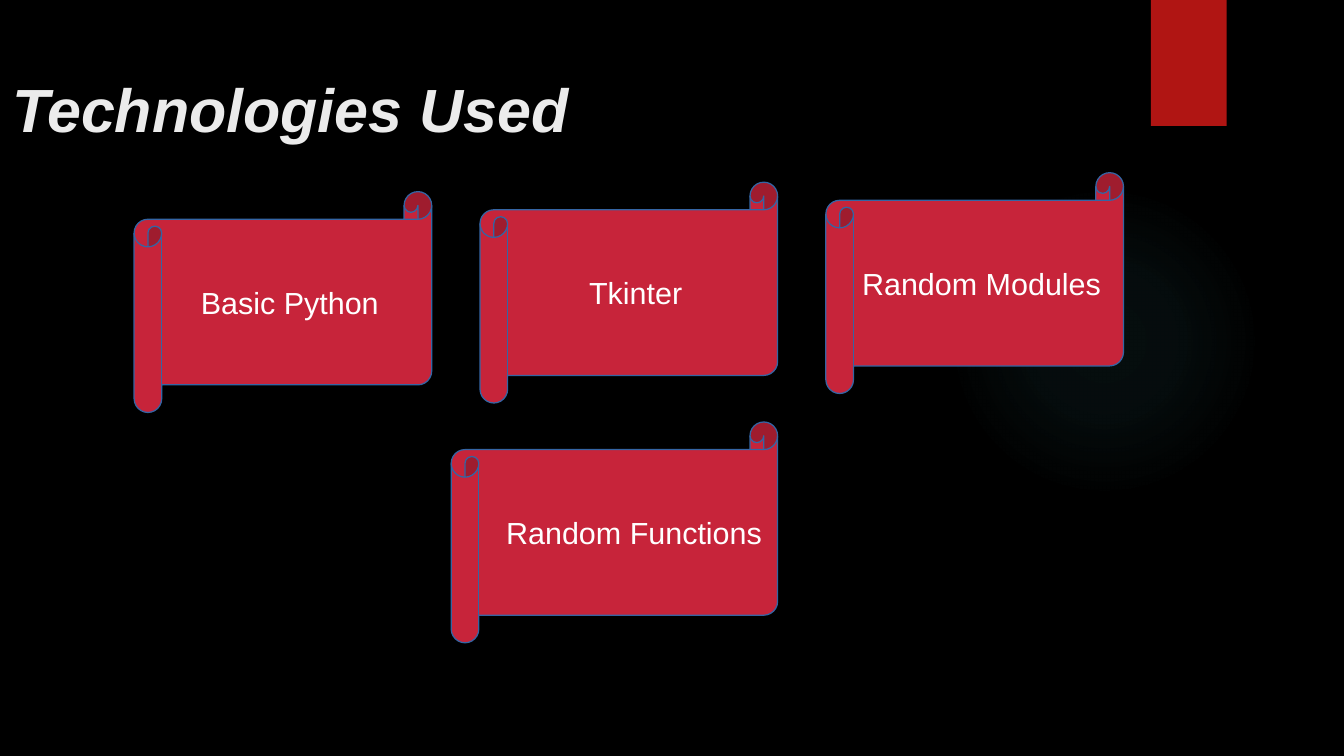
from pptx import Presentation
from pptx.dml.color import RGBColor
from pptx.enum.shapes import MSO_SHAPE
from pptx.enum.text import MSO_ANCHOR, PP_ALIGN
from pptx.oxml import parse_xml
from pptx.oxml.ns import nsdecls
from pptx.util import Pt

SCROLL = MSO_SHAPE.HORIZONTAL_SCROLL
OVAL = MSO_SHAPE.OVAL
RECTANGLE = MSO_SHAPE.RECTANGLE
MIDDLE = MSO_ANCHOR.MIDDLE
LEFT = PP_ALIGN.LEFT
CENTER = PP_ALIGN.CENTER

BLACK = RGBColor(0x00, 0x00, 0x00)
WHITE = RGBColor(0xFF, 0xFF, 0xFF)
TITLE_GREY = RGBColor(0xEB, 0xEB, 0xEB)
TAB_RED = RGBColor(0xB0, 0x15, 0x13)
SCROLL_RED = RGBColor(0xC7, 0x24, 0x3A)
OUTLINE_BLUE = RGBColor(0x34, 0x65, 0xA4)
GLOW_TEAL = RGBColor(0x50, 0xB9, 0xC1)

FONT = "Arial"
GLOW_STOPS = [(0, 7), (36, 6), (69, 0)]
TECHNOLOGIES = ["Basic Python", "Tkinter", "Random Modules"]
SCROLL_WIDTH, SCROLL_HEIGHT = 175.7, 130.4
COLUMN_STEP, ROW_RISE = 204.2, 5.6


def add_plain_shape(slide, kind, box):
    """Add a preset shape without shadow or outline in the box."""
    shape = slide.shapes.add_shape(kind, *map(Pt, box))
    shape.shadow.inherit = False
    shape.line.fill.background()
    return shape


def style_text(frame, text, size, color, align):
    """Fill a text frame with one formatted, vertically centred line."""
    frame.text = text
    frame.vertical_anchor = MIDDLE
    frame.margin_left = frame.margin_right = Pt(7.2)
    frame.margin_top = frame.margin_bottom = Pt(3.6)
    para = frame.paragraphs[0]
    para.alignment = align
    font = para.runs[0].font
    font.name, font.size, font.color.rgb = FONT, Pt(size), color
    return font


def add_glow(slide, box):
    """Add a soft round glow that fades out from its centre."""
    glow = add_plain_shape(slide, OVAL, box)
    stops = "".join(
        f'<a:gs pos="{place * 1000}"><a:srgbClr val="{GLOW_TEAL}">'
        f'<a:alpha val="{opacity * 1000}"/></a:srgbClr></a:gs>'
        for place, opacity in GLOW_STOPS
    )
    gradient = parse_xml(
        f'<a:gradFill {nsdecls("a")}><a:gsLst>{stops}</a:gsLst><a:path path="circle">'
        '<a:fillToRect l="50000" t="50000" r="50000" b="50000"/></a:path></a:gradFill>'
    )
    glow._element.spPr.prstGeom.addnext(gradient)


def add_tab(slide, box):
    """Add the red tab hanging from the top edge."""
    tab = add_plain_shape(slide, RECTANGLE, box)
    tab.fill.solid()
    tab.fill.fore_color.rgb = TAB_RED


def place_title(slide, text, box):
    """Move the title placeholder into the box and format it."""
    title = slide.shapes.title
    title.left, title.top, title.width, title.height = map(Pt, box)
    font = style_text(title.text_frame, text, 36, TITLE_GREY, LEFT)
    font.bold = font.italic = True


def add_scroll(slide, text, box, indent=0):
    """Add a labelled scroll, with its label shifted by an optional indent."""
    scroll = add_plain_shape(slide, SCROLL, box)
    scroll.fill.solid()
    scroll.fill.fore_color.rgb = SCROLL_RED
    scroll.line.color.rgb = OUTLINE_BLUE
    scroll.line.width = Pt(0)
    frame = scroll.text_frame
    style_text(frame, text, 18, WHITE, CENTER)
    frame.margin_left = Pt(7.2 + indent)
    frame.word_wrap = False


def add_scrolls(slide, box):
    """Lay out the rising row of scrolls and the wider one below it."""
    left, top, width, height = box
    for column, name in enumerate(TECHNOLOGIES):
        place = (left + column * COLUMN_STEP, top - column * ROW_RISE)
        add_scroll(slide, name, (*place, SCROLL_WIDTH, SCROLL_HEIGHT))
    lower_left = left + 187.2
    lower_width = COLUMN_STEP + SCROLL_WIDTH - 187.2
    lower_top = top + height - SCROLL_HEIGHT
    add_scroll(slide, "Random Functions",
               (lower_left, lower_top, lower_width, SCROLL_HEIGHT), indent=15)


def build_technologies_slide(deck):
    """Build the slide that lists the technologies used."""
    slide = deck.slides.add_slide(deck.slide_layouts[5])
    slide.background.fill.solid()
    slide.background.fill.fore_color.rgb = BLACK
    add_glow(slide, (560.2, 109.4, 183.6, 183.6))
    add_tab(slide, (679.5, 0, 44.8, 74.3))
    place_title(slide, "Technologies Used", (0, 39.6, 674.6, 49))
    add_scrolls(slide, (79.2, 113.2, 584.1, 266.4))


def main():
    """Create and save the deck."""
    deck = Presentation()
    deck.slide_width, deck.slide_height = Pt(793.44), Pt(446.4)
    build_technologies_slide(deck)
    deck.save("out.pptx")


if __name__ == "__main__":
    main()
